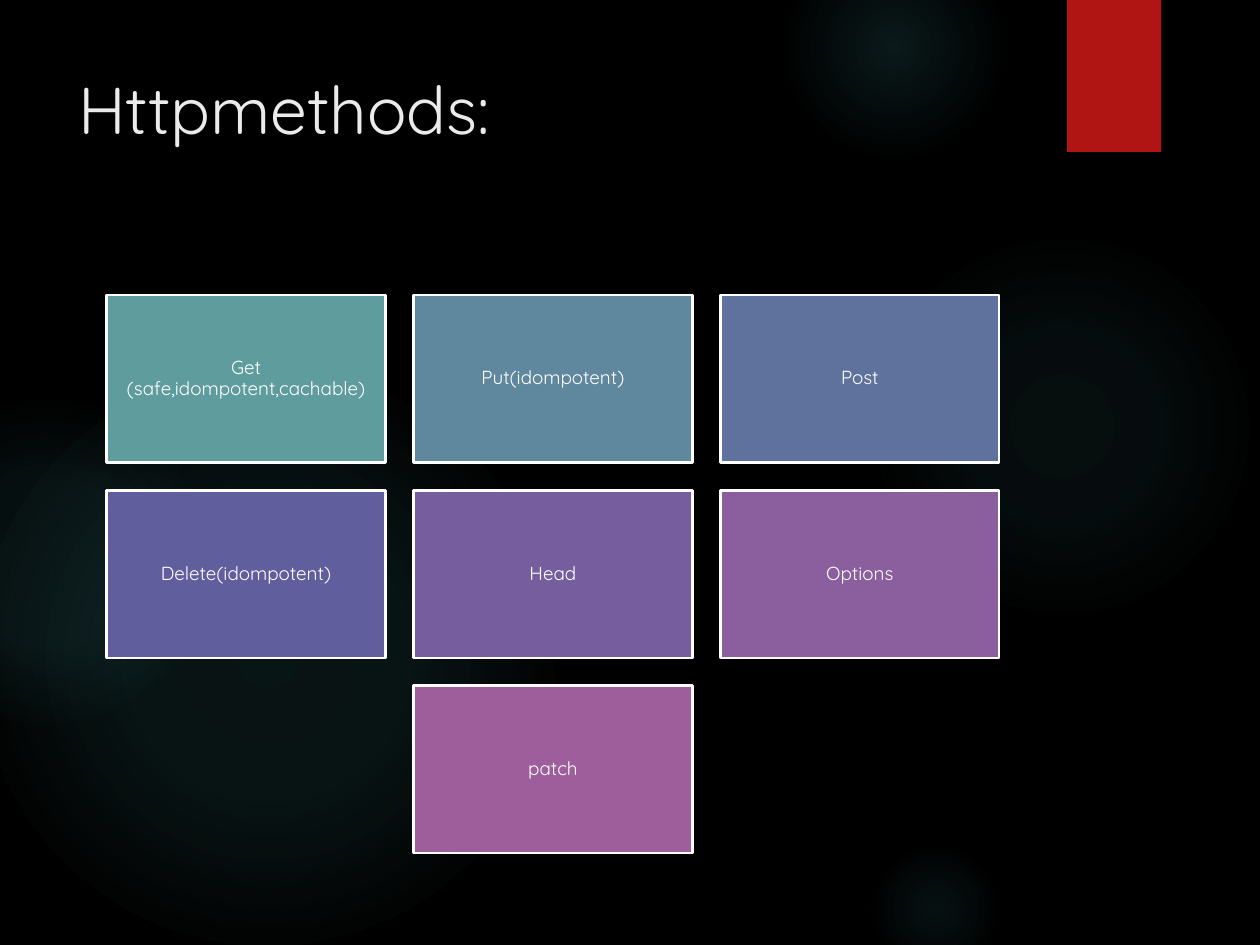
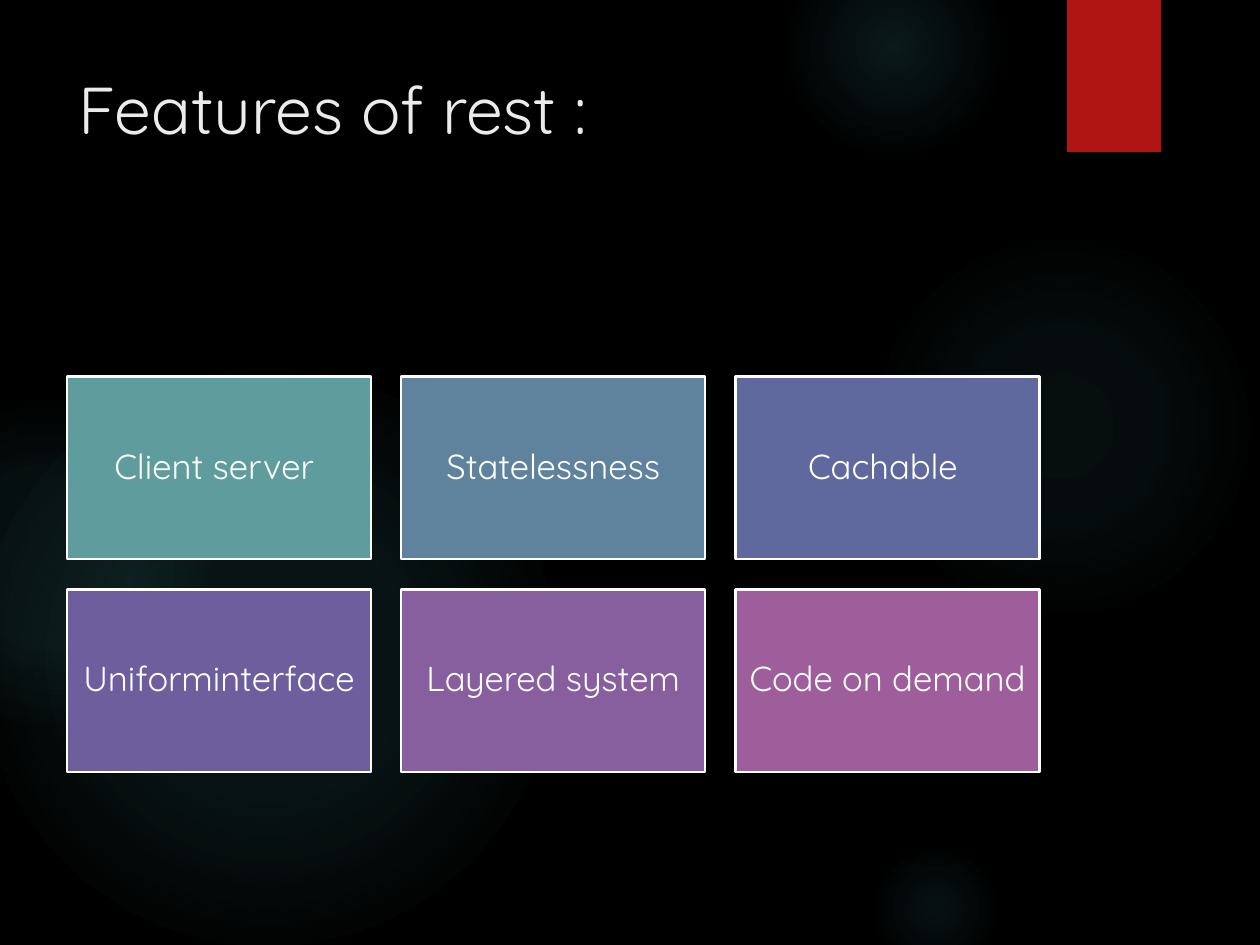
from pptx import Presentation
from pptx.dml.color import RGBColor
from pptx.enum.shapes import MSO_SHAPE as Preset
from pptx.enum.text import MSO_ANCHOR as Anchor, PP_ALIGN as Align
from pptx.oxml import parse_xml
from pptx.oxml.ns import nsdecls
from pptx.util import Inches, Pt

FONT = "Quicksand"
COLOURS = {
    "background": "000000", "glow": "50B9C1", "ribbon": "B01513",
    "title": "EBEBEB", "white": "FFFFFF",
    "teal": "5F9C9D", "sea": "5F879D", "steel": "5F839D",
    "blue": "5F729D", "cobalt": "5F699D", "indigo": "605E9D",
    "iris": "6D5E9E", "violet": "765E9E", "grape": "875E9E",
    "purple": "8B5E9E", "magenta": "9E5E9B",
}

# Glows: left, top, diameter, (position %, opacity %) stops
GLOWS = [
    (7.65, 2.04, 3.43, [(0, 7), (36, 6), (69, 0)]),
    (6.91, -0.56, 1.94, [(0, 14), (36, 7), (73, 0)]),
    (7.65, 7.41, 1.2, [(0, 9), (36, 5), (66, 0)]),
    (-0.19, 3.24, 5.09, [(0, 11), (36, 10), (75, 0)]),
    (-1.02, 3.52, 2.87, [(0, 8), (36, 8), (72, 0)]),
]

HTTP_METHODS = [
    [("Get (safe,idompotent,cachable)", "teal"), ("Put(idompotent)", "sea"), ("Post", "blue")],
    [("Delete(idompotent)", "indigo"), ("Head", "violet"), ("Options", "purple")],
    [("patch", "magenta")],
]
REST_FEATURES = [
    [("Client server ", "teal"), ("Statelessness", "steel"), ("Cachable ", "cobalt")],
    [("Uniforminterface", "iris"), ("Layered system", "grape"), ("Code on demand ", "magenta")],
]


def rgb(name):
    return RGBColor.from_string(COLOURS[name])


class Deck:
    """Holds the shared style and the slide being built."""

    def __init__(self):
        self.presentation = Presentation()
        self.presentation.slide_width = Inches(11.11)
        self.presentation.slide_height = Inches(8.33)
        self.slide = None

    def new_slide(self, title):
        blank = self.presentation.slide_layouts[6]
        self.slide = self.presentation.slides.add_slide(blank)
        backdrop = self.slide.background.fill
        backdrop.solid()
        backdrop.fore_color.rgb = rgb("background")
        for glow in GLOWS:
            self.glow(*glow)
        self.block(9.41, 0, 0.83, 1.34, "ribbon")
        self.title(title)

    def shape(self, preset, left, top, width, height):
        shape = self.slide.shapes.add_shape(
            preset, Inches(left), Inches(top), Inches(width), Inches(height))
        shape.shadow.inherit = False
        shape.line.fill.background()
        return shape

    def glow(self, left, top, diameter, stops):
        circle = self.shape(Preset.OVAL, left, top, diameter, diameter)
        circle.fill.background()
        stop_xml = "".join(
            f'<a:gs pos="{position * 1000}"><a:srgbClr val="{COLOURS["glow"]}">'
            f'<a:alpha val="{opacity * 1000}"/></a:srgbClr></a:gs>'
            for position, opacity in stops)
        gradient = parse_xml(
            f'<a:gradFill {nsdecls("a")} rotWithShape="1"><a:gsLst>{stop_xml}</a:gsLst>'
            '<a:path path="circle"><a:fillToRect l="50000" t="50000" r="50000" b="50000"/>'
            '</a:path></a:gradFill>')
        properties = circle._element.spPr
        properties.replace(properties.find("{*}noFill"), gradient)

    def block(self, left, top, width, height, colour):
        block = self.shape(Preset.RECTANGLE, left, top, width, height)
        block.fill.solid()
        block.fill.fore_color.rgb = rgb(colour)
        return block

    def add_text(self, paragraph, text, size, colour):
        run = paragraph.add_run()
        run.text = text
        run.font.name = FONT
        run.font.size = Pt(size)
        run.font.color.rgb = rgb(colour)

    def title(self, text):
        heading = self.slide.shapes.add_textbox(
            Inches(0.59), Inches(0.55), Inches(8.57), Inches(1.7)).text_frame
        heading.word_wrap = True
        heading.vertical_anchor = Anchor.TOP
        self.add_text(heading.paragraphs[0], text, 42, "title")

    def tile(self, left, top, width, height, label, colour, size, inset):
        tile = self.block(left, top, width, height, colour)
        tile.line.color.rgb = rgb("white")
        tile.line.width = Pt(1.5)
        frame = tile.text_frame
        frame.word_wrap = True
        frame.vertical_anchor = Anchor.MIDDLE
        frame.margin_left = frame.margin_right = Inches(inset)
        frame.margin_top = frame.margin_bottom = Inches(inset)
        paragraph = frame.paragraphs[0]
        paragraph.alignment = Align.CENTER
        paragraph.line_spacing = 0.9
        self.add_text(paragraph, label, size, "white")

    def tile_grid(self, rows, left, top, width, size, inset):
        # Tiles are 5:3, gaps a tenth of the width; short rows are centred
        height, gap = width * 0.6, width * 0.1
        columns = max(len(row) for row in rows)
        for row_index, row in enumerate(rows):
            row_left = left + (columns - len(row)) / 2 * (width + gap)
            row_top = top + row_index * (height + gap)
            for column, (label, colour) in enumerate(row):
                self.tile(row_left + column * (width + gap), row_top,
                          width, height, label, colour, size, inset)


def main():
    deck = Deck()

    # HTTP methods
    deck.new_slide("Httpmethods:")
    deck.tile_grid(HTTP_METHODS, left=0.94, top=2.6, width=2.46, size=12, inset=0.05)

    # REST features
    deck.new_slide("Features of rest :")
    deck.tile_grid(REST_FEATURES, left=0.59, top=3.32, width=2.68, size=22, inset=0.09)

    deck.presentation.save("out.pptx")


if __name__ == "__main__":
    main()
